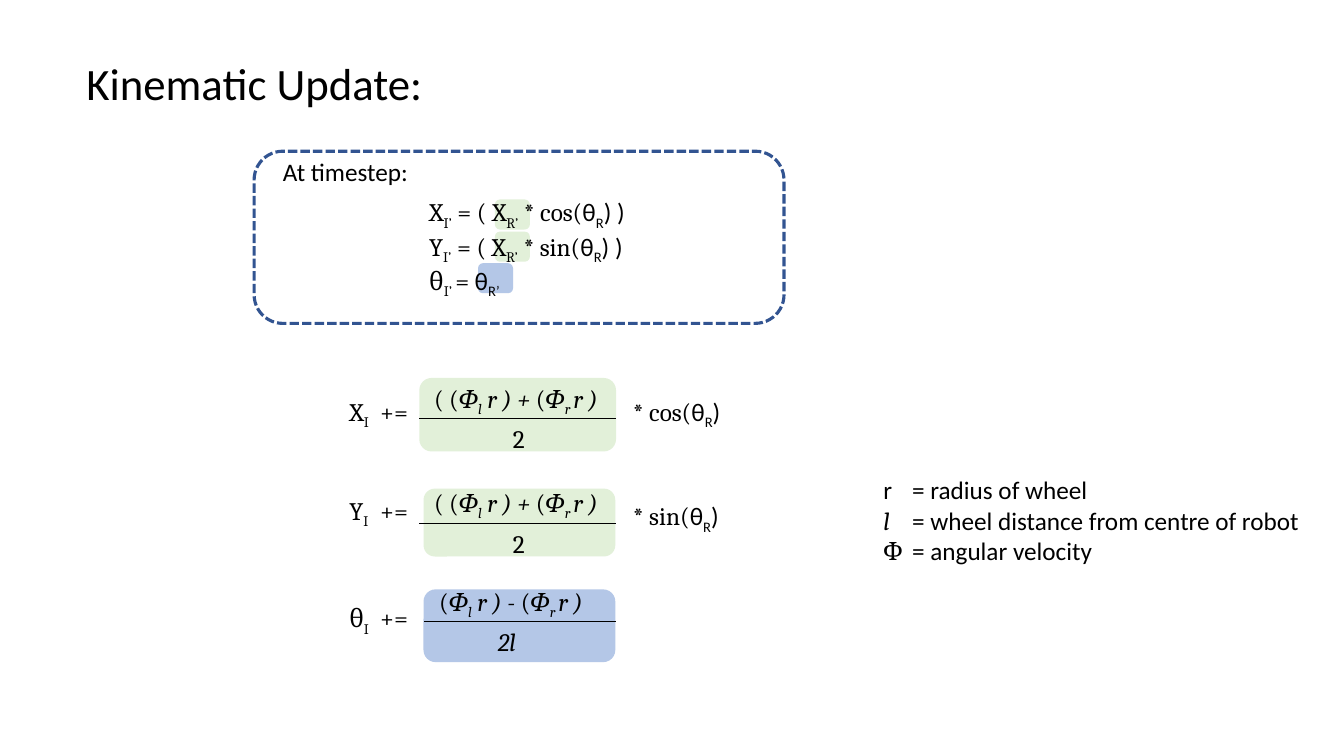
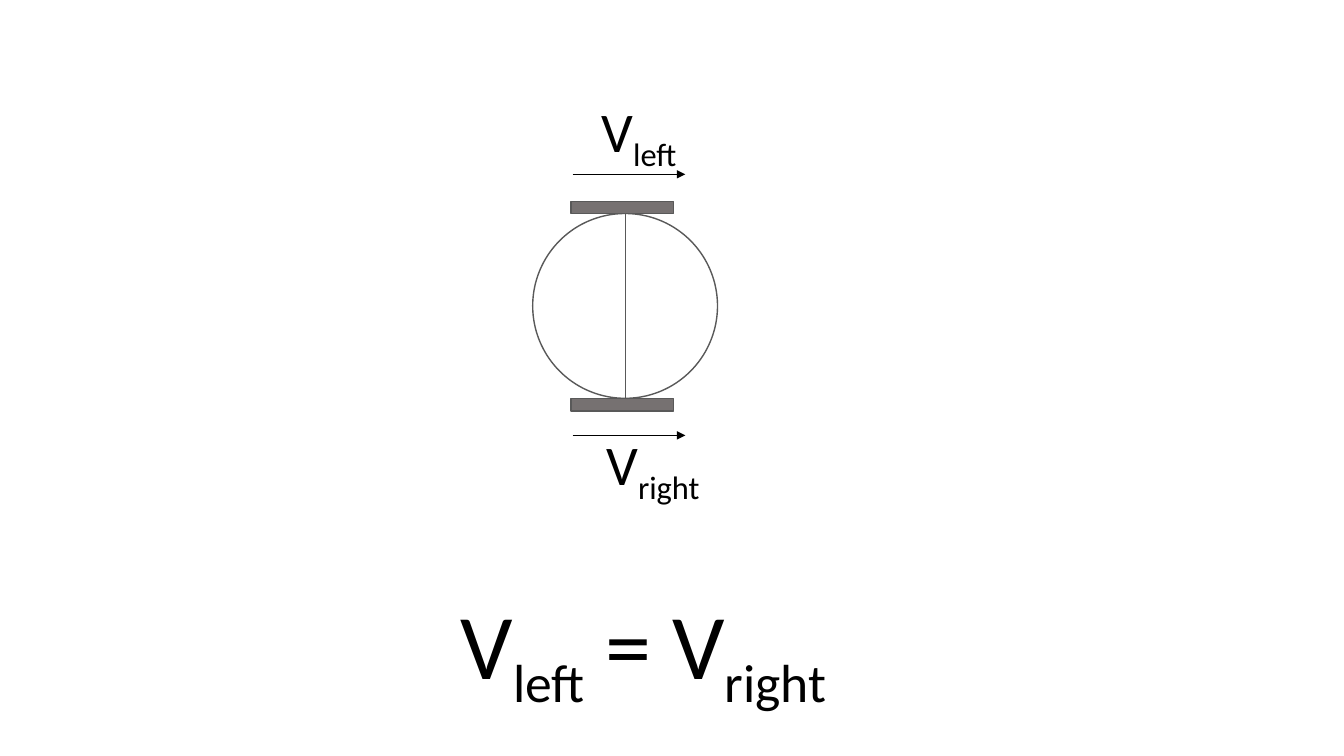
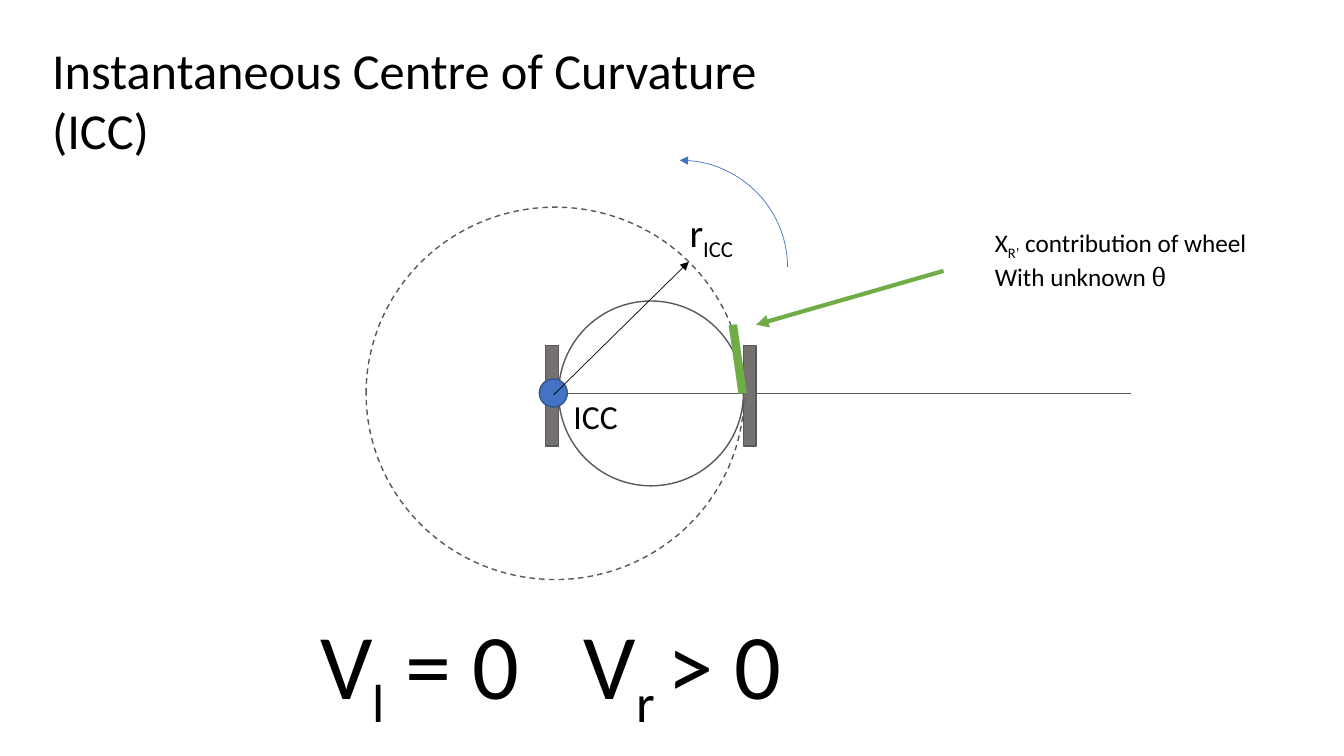
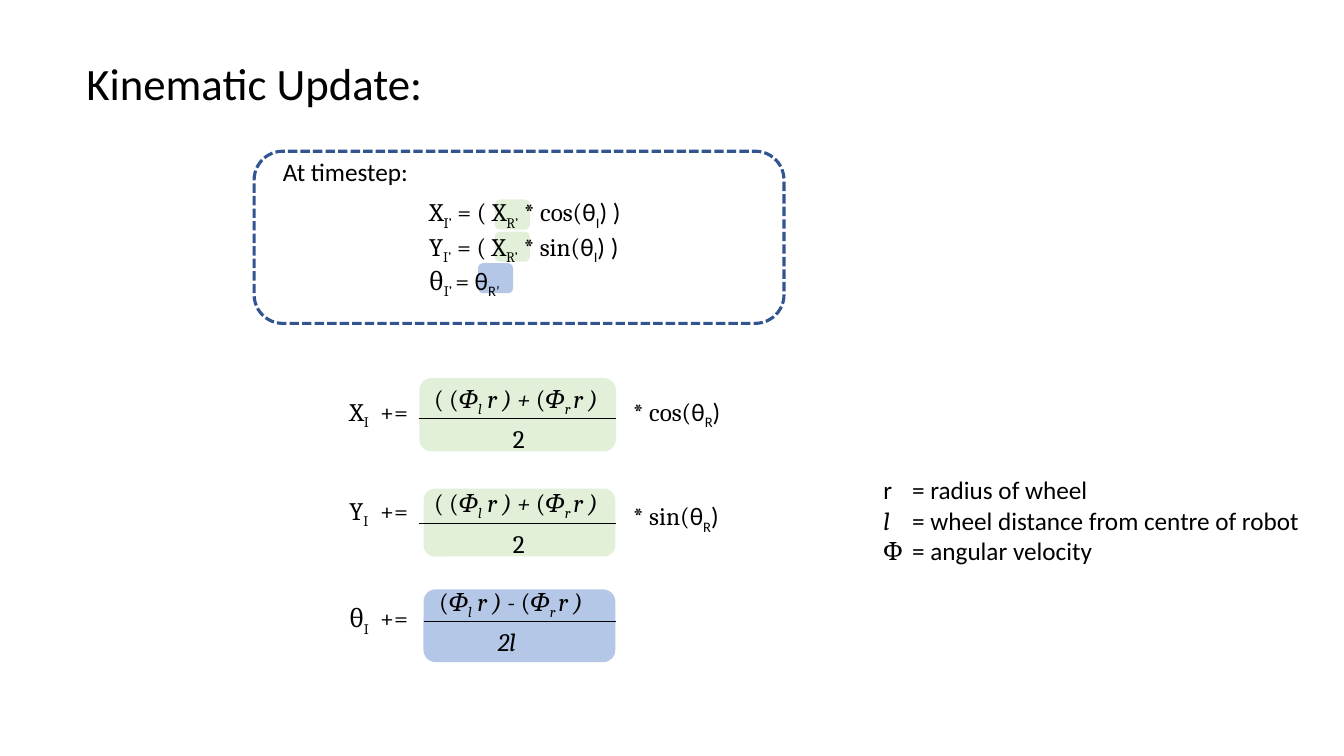
from itertools import groupby

from pptx import Presentation
from pptx.dml.color import RGBColor
from pptx.enum import dml, shapes, text
from pptx.oxml.ns import qn
from pptx.util import Pt
from lxml import etree

HUES = {
    "ink": "000000", "white": "FFFFFF", "green": "E2F0D9", "blue": "B4C7E7",
    "navy": "325491", "edge": "595959", "wheel": "767171", "accent": "4472C4",
    "leaf": "70AD47",
}
SANS, SERIF = "Calibri", "Cambria"
OVAL, RECT = shapes.MSO_SHAPE.OVAL, shapes.MSO_SHAPE.RECTANGLE
ROUND, ARC = shapes.MSO_SHAPE.ROUNDED_RECTANGLE, shapes.MSO_SHAPE.ARC

# Text markup: ~ switches subscript, ^ italic, | between sans and serif.

# Kinematic update: highlights, equations, fractions
MARKS = [(353.5, 142.5, "green"), (353.5, 165.5, "green"), (341.5, 188, "blue")]
STEPS = [
    "X~I’~ = ( X~R’~ * cos(|θ~{0}~) )",
    "Y~I’~ = ( X~R’~ * sin(|θ~{0}~) )",
    "θ~I’ ~= |θ~R’~",
]
SUM = "( (^Φ~l~ r ) + ^(^Φ~r ~r ) "
DIFF = "(^Φ~l~ r ) - ^(^Φ~r ~r ) "
# label, label top, panel, colour, bar left, bar y, top, bottom, centres, factor
TERMS = [
    ("X", 279.5, (299.5, 270, 140.5, 52.5), "green", 299.5, 299,
     SUM, "2", (370.5, 370.5), "* cos(|θ~R~)"),
    ("Y", 350, (302.5, 349, 137, 48.5), "green", 299.5, 373.5,
     SUM, "2", (370.5, 370.5), "* sin(|θ~R~)"),
    ("θ", 427, (302.5, 421, 137, 52), "blue", 303, 444,
     DIFF, "^2l", (367, 362), ""),
]
KEY = [
    "r\t= radius of wheel",
    "|^l^|\t= wheel distance from centre of robot",
    "|Φ|\t= angular velocity",
]

# Equal speeds: text, left, top, size
SPEEDS = [
    ("V~right~", 426, 303, 40),
    ("V~left~", 422.5, 65.5, 40),
    ("V~left~ = V~right~", 322, 415.5, 66),
]


def rgb(name):
    return RGBColor.from_string(HUES[name])


def fill_text(frame, lines, size, font=SANS, tab=0, align="LEFT"):
    """Write marked-up lines into a text frame."""
    frame.word_wrap = True
    frame.auto_size = text.MSO_AUTO_SIZE.NONE
    frame.vertical_anchor = text.MSO_ANCHOR.TOP
    other = {SANS: SERIF, SERIF: SANS}[font]
    for i, line in enumerate(lines):
        para = frame.add_paragraph() if i else frame.paragraphs[0]
        para.alignment = getattr(text.PP_ALIGN, align)
        if tab:
            stops = etree.SubElement(para._p.get_or_add_pPr(), qn("a:tabLst"))
            etree.SubElement(stops, qn("a:tab"), pos=str(Pt(tab)), algn="l")
        para.font.name = font
        para.font.size = Pt(size)
        para.font.color.rgb = rgb("ink")
        on = set()
        for mark, part in groupby(line, lambda c: c in "~^|"):
            if mark:
                on ^= set(part)
                continue
            run = para.add_run()
            run.text = "".join(part)
            if "^" in on:
                run.font.italic = True
            if "|" in on:
                run.font.name = other
            if "~" in on:
                run._r.get_or_add_rPr().set("baseline", "-25000")


def write(slide, lines, x, y, w, h, size=18, **look):
    box = slide.shapes.add_textbox(Pt(x), Pt(y), Pt(w), Pt(h))
    fill_text(box.text_frame, lines, size, **look)


def title(slide, words, x, y, w, h, size):
    head = slide.shapes.title
    head.left, head.top, head.width, head.height = map(Pt, (x, y, w, h))
    fill_text(head.text_frame, [words], size)


def stroke(item, hue, width, dash=None, arrow=None):
    """Style a line; arrow is headEnd or tailEnd."""
    item.line.color.rgb = rgb(hue)
    item.line.width = Pt(width)
    if dash:
        item.line.dash_style = dash
    if arrow:
        ln = item.line._get_or_add_ln()
        etree.SubElement(ln, qn("a:" + arrow), type="triangle")


def shape(slide, kind, box, fill=None, hue=None, width=1, **look):
    item = slide.shapes.add_shape(kind, *map(Pt, box))
    item.shadow.inherit = False
    if fill:
        item.fill.solid()
        item.fill.fore_color.rgb = rgb(fill)
    else:
        item.fill.background()
    if hue:
        stroke(item, hue, width, **look)
    else:
        item.line.fill.background()


def line(slide, start, end, hue="ink", width=0.5, arrow=None):
    item = slide.shapes.add_connector(
        shapes.MSO_CONNECTOR.STRAIGHT, *map(Pt, start + end))
    stroke(item, hue, width, arrow=arrow)
    etree.SubElement(item._element.spPr, qn("a:effectLst"))


def robot(slide, x, y, wheels, w, h):
    """Round body with its two wheels."""
    shape(slide, OVAL, (x, y, 132, 132), "white", "edge")
    for left, top in wheels:
        shape(slide, RECT, (left, top, w, h), "wheel", "edge")


def update(slide, sub):
    title(slide, "Kinematic Update:", 54.5, 36, 400, 46, 32)
    # Highlights
    for x, y, hue in MARKS:
        shape(slide, ROUND, (x, y, 25, 21.5), hue)
    # Step equations
    write(slide, [s.format(sub) for s in STEPS], 299.5, 137, 379, 94, font=SERIF)
    write(slide, ["At timestep:"], 195, 108, 120, 29)
    # Fractions
    for name, y, panel, hue, x, bar, top, low, mids, factor in TERMS:
        shape(slide, ROUND, panel, hue)
        for words, mid, at in zip((top, low), mids, (bar - 29, bar)):
            write(slide, [words], mid - 109, at, 218, 29, font=SERIF, align="CENTER")
        line(slide, (x, bar), (440, bar))
        write(slide, [name + "~I~\t+="], 242.5, y, 80, 29, font=SERIF, tab=22)
        if factor:
            write(slide, [factor], 445, bar - 19.5, 100, 29, font=SERIF)
    # Frame and key
    shape(slide, ROUND, (181.5, 108, 378.5, 123), None, "navy", 2.25,
          dash=dml.MSO_LINE.SQUARE_DOT)
    write(slide, KEY, 624, 335.5, 330, 94, tab=20.5)


def speeds(slide):
    for words, x, y, size in SPEEDS:
        write(slide, [words], x, y, size * 5, size * 1.4, size)
    robot(slide, 380.5, 152.5, [(408, 143.75), (408, 284.75)], 73, 9)
    for y in (311, 124.5):
        line(slide, (409, y), (489.5, y), arrow="tailEnd")
    line(slide, (446.5, 285), (446.5, 152.5), "edge")


def curve(slide):
    title(slide, "Instantaneous Centre of Curvature (ICC)", 30, 24, 576, 96, 36)
    axle = 281
    line(slide, (808, axle), (385, axle), "edge")
    write(slide, ["V~l~ = 0\tV~r ~> 0"], 221.5, 430, 400, 87, 66, tab=188.5)
    # Robot and its turning circle
    robot(slide, 399, 215, [(389.75, 246.75), (531, 246.75)], 9, 72)
    line(slide, (531, axle), (399, axle), "edge")
    shape(slide, OVAL, (261.5, 148, 270, 266), None, "edge", dash=dml.MSO_LINE.DASH)
    shape(slide, OVAL, (385.25, 270.75, 20, 20), "accent", "navy")
    shape(slide, ARC, (408.5, 114.5, 154, 152.5), None, "accent", 0.5, arrow="headEnd")
    # Radius
    write(slide, ["ICC"], 402.5, 279.5, 60, 36, 24)
    line(slide, (395.5, 282), (492, 187), arrow="tailEnd")
    write(slide, ["r~ICC~"], 485.5, 145.5, 80, 41, 28)
    # Wheel contribution
    line(slide, (530.5, axle), (523.5, 232), "leaf", 6)
    line(slide, (674, 193.5), (540, 232), "leaf", 3, "tailEnd")
    write(slide, ["X~R’~ contribution of wheel", "With unknown |θ"],
          703.5, 158.5, 220, 55)


def main():
    deck = Presentation()
    deck.slide_width, deck.slide_height = Pt(960), Pt(540)
    titled, blank = deck.slide_layouts[5], deck.slide_layouts[6]
    update(deck.slides.add_slide(titled), "R")
    speeds(deck.slides.add_slide(blank))
    curve(deck.slides.add_slide(titled))
    update(deck.slides.add_slide(titled), "I")
    deck.save("out.pptx")


if __name__ == "__main__":
    main()
